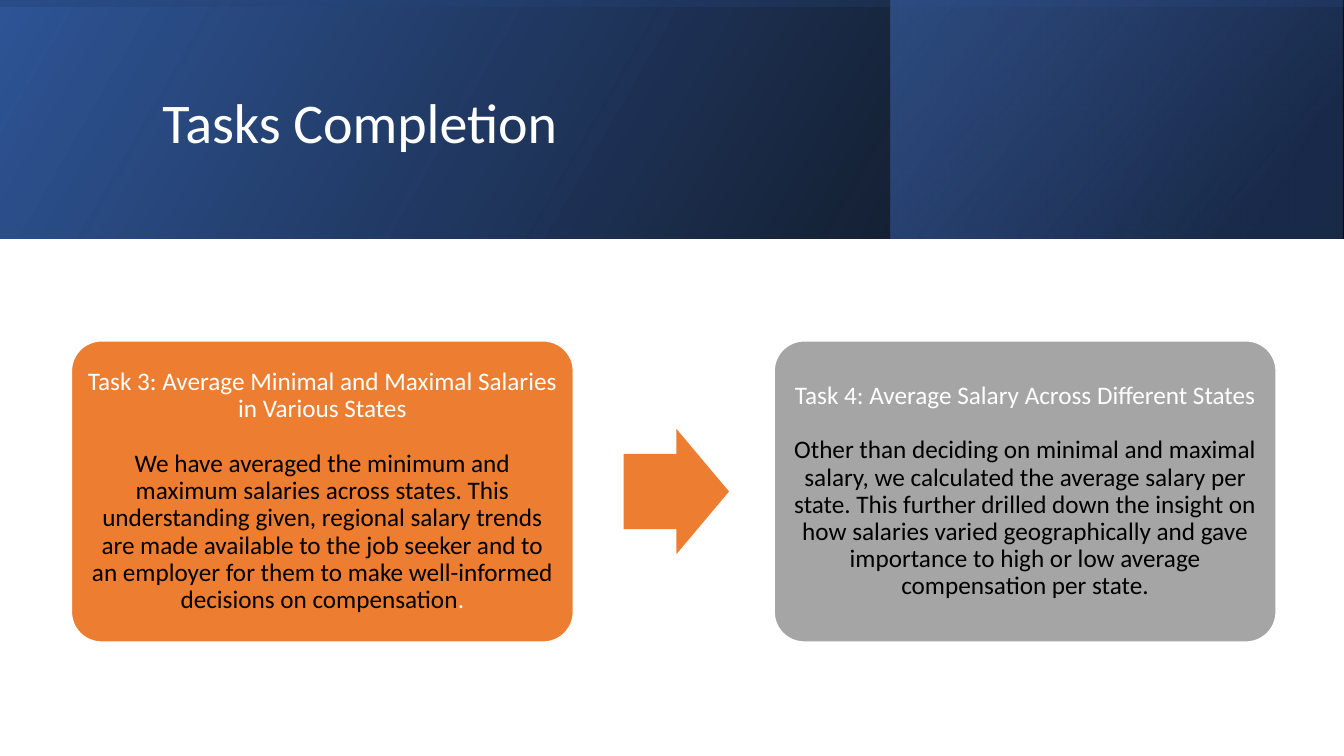
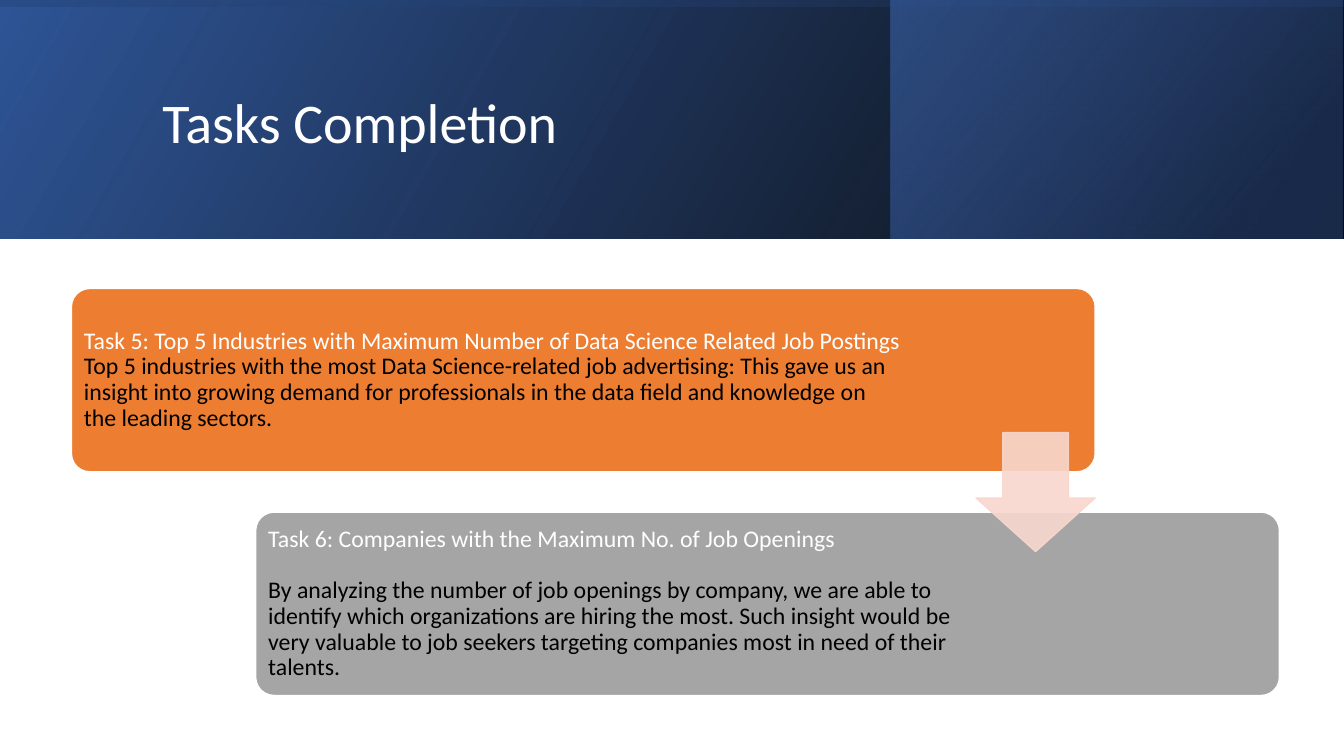
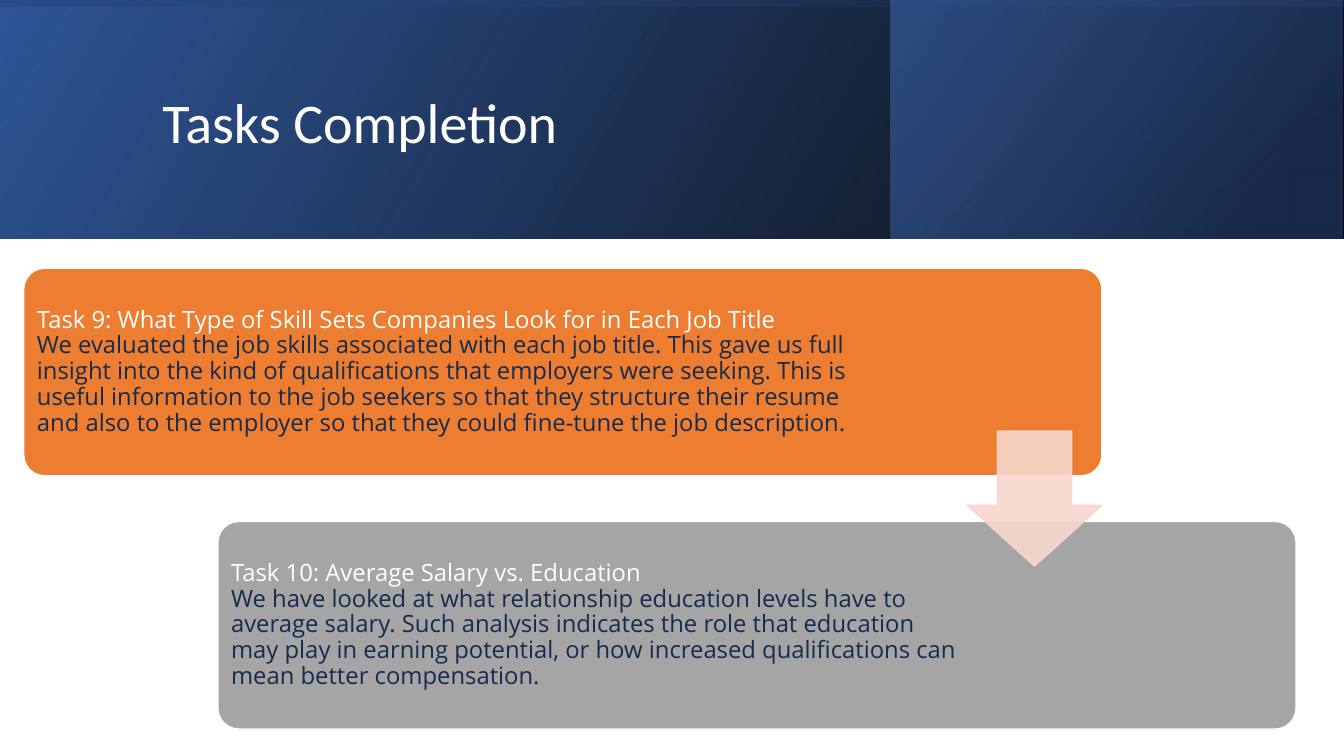
from lxml import etree
from pptx import Presentation
from pptx.dml.color import RGBColor
from pptx.enum import shapes, text
from pptx.oxml.ns import qn
from pptx.util import Cm, Pt

COLORS = {
    "white": "FFFFFF", "black": "000000", "ink": "172B4D",
    "orange": "ED7D31", "gray": "A5A5A5", "pink": "F8D7CE",
    "blue": "2F5597", "navy": "203864", "sky": "4472C4",
}
SLIDE_W, SLIDE_H, BAND_H = 33.87, 19.05, 6.02
TITLE = "Tasks Completion"
TITLE_BOX = (3.84, 0.97, 27, 4.37)
PADDING = 0.18

# Box, rotation, angle, stops of (position %, colour, opacity %)
BANDS = [
    ((0, 0, SLIDE_W, BAND_H), 0, 30, [(0, "black", 96), (100, "blue", 100)]),
    ((22.45, 0, 11.38, BAND_H), 0, 40, [(19, "navy", 68), (100, "sky", 48)]),
    (((SLIDE_W - BAND_H) / 2, (BAND_H - SLIDE_W) / 2, BAND_H, SLIDE_W), 270, 10,
     [(23, "blue", 16), (99, "black", 45)]),
]

# "first" is the box of the first card; the second card follows from it.
# "gap" is the space between heading and body in points,
# "inset" the free space kept at the right of the card.
SLIDES = [
    dict(flow="across", first=(1.8, 8.59, 12.65, 7.59), size=18,
         font="Calibri", ink="black", cards=[
        dict(heading="Task 3: Average Minimal and Maximal Salaries in Various States",
             body=[("We have averaged the minimum and maximum salaries across states. "
                    "This understanding given, regional salary trends are made available "
                    "to the job seeker and to an employer for them to make well-informed "
                    "decisions on compensation", "black"), (".", "white")],
             gap=19.5, inset=PADDING),
        dict(heading="Task 4: Average Salary Across Different States",
             body=[("Other than deciding on minimal and maximal salary, we calculated "
                    "the average salary per state. This further drilled down the insight "
                    "on how salaries varied geographically and gave importance to high "
                    "or low average compensation per state.", "black")],
             gap=19.5, inset=PADDING),
    ]),
    dict(flow="down", first=(1.8, 7.27, 25.8, 4.62), size=17,
         font="Calibri", ink="black", cards=[
        dict(heading="Task 5: Top 5 Industries with Maximum Number of Data Science "
                     "Related Job Postings",
             body=[("Top 5 industries with the most Data Science-related job advertising: "
                    "This gave us an insight into growing demand for professionals in the "
                    "data field and knowledge on the leading sectors.", "black")],
             gap=0, inset=4.67),
        dict(heading="Task 6: Companies with the Maximum No. of Job Openings",
             body=[("By analyzing the number of job openings by company, we are able to "
                    "identify which organizations are hiring the most. Such insight would "
                    "be very valuable to job seekers targeting companies most in need of "
                    "their talents.", "black")],
             gap=18.5, inset=7.74),
    ]),
    dict(flow="down", first=(0.6, 6.76, 27.17, 5.23), size=17,
         font="Open Sans", ink="ink", cards=[
        dict(heading="Task 9: What Type of Skill Sets Companies Look for in Each Job Title",
             body=[("We evaluated the job skills associated with each job title. This gave "
                    "us full insight into the kind of qualifications that employers were "
                    "seeking. This is useful information to the job seekers so that they "
                    "structure their resume and also to the employer so that they could "
                    "fine-tune the job description.", "ink")],
             gap=0, inset=5.28),
        dict(heading="Task 10: Average Salary vs. Education",
             body=[("We have looked at what relationship education levels have to average "
                    "salary. Such analysis indicates the role that education may play in "
                    "earning potential, or how increased qualifications can mean better "
                    "compensation.", "ink")],
             gap=0, inset=8.38),
    ]),
]


def rgb(name):
    return RGBColor.from_string(COLORS[name])


def set_opacity(color_node, percent):
    etree.SubElement(color_node, qn("a:alpha")).set("val", str(percent * 1000))


def add_preset(slide, preset, box, fill=None, line=None, adjust=()):
    shape = slide.shapes.add_shape(preset, *map(Cm, box))
    shape.shadow.inherit = False
    for i, value in enumerate(adjust):
        shape.adjustments[i] = value
    if fill:
        shape.fill.solid()
        shape.fill.fore_color.rgb = rgb(fill)
    if line:
        shape.line.color.rgb = rgb(line)
        shape.line.width = Pt(1)
    else:
        shape.line.fill.background()
    return shape


def add_run(paragraph, words, size, font, color):
    run = paragraph.add_run()
    run.text = words
    run.font.size = Pt(size)
    run.font.name = font
    run.font.color.rgb = rgb(color)


def add_header(slide):
    for box, rotation, angle, stops in BANDS:
        band = add_preset(slide, shapes.MSO_SHAPE.RECTANGLE, box)
        band.rotation = rotation
        band._element.spPr.find(qn("a:xfrm")).set("flipH", "1")
        band.fill.gradient()
        band.fill.gradient_angle = angle
        for stop, (position, color, opacity) in zip(band.fill.gradient_stops, stops):
            stop.position = position / 100
            stop.color.rgb = rgb(color)
        for node, (_, _, opacity) in zip(band._element.iter(qn("a:gs")), stops):
            set_opacity(node[0], opacity)

    title = slide.shapes.title
    title.left, title.top, title.width, title.height = map(Cm, TITLE_BOX)
    slide.shapes._spTree.append(title._element)  # bring in front of the bands
    title.text_frame.vertical_anchor = text.MSO_ANCHOR.MIDDLE
    paragraph = title.text_frame.paragraphs[0]
    paragraph.alignment = text.PP_ALIGN.LEFT
    paragraph.line_spacing = 0.9
    add_run(paragraph, TITLE, 40, "Calibri", "white")


def add_card(slide, box, fill, card, size, font, align):
    shape = add_preset(slide, shapes.MSO_SHAPE.ROUNDED_RECTANGLE, box, fill, "white", [0.1])
    frame = shape.text_frame
    frame.word_wrap = True
    frame.vertical_anchor = text.MSO_ANCHOR.MIDDLE
    frame.margin_left = frame.margin_top = frame.margin_bottom = Cm(PADDING)
    frame.margin_right = Cm(card["inset"])
    heading, body = frame.paragraphs[0], frame.add_paragraph()
    for paragraph in (heading, body):
        paragraph.alignment = align
        paragraph.line_spacing = 0.9
    heading.space_after = Pt(card["gap"])
    add_run(heading, card["heading"], size, font, "white")
    for words, color in card["body"]:
        add_run(body, words, size, font, color)


def add_flow(slide, content):
    """Two cards joined by an arrow, side by side or stepping down."""
    x, y, w, h = content["first"]
    across = content["flow"] == "across"
    if across:
        step_x, step_y = 1.4 * w, 0
        align = text.PP_ALIGN.CENTER
        arrow_w, arrow_h = 0.21 * w, 0.25 * w
        arrow_box = (x + 1.1 * w, y + (h - arrow_h) / 2, arrow_w, arrow_h)
    else:
        step_x, step_y = 0.18 * w, 1.22 * h
        align = text.PP_ALIGN.LEFT
        side = 0.65 * h
        arrow_box = (x + w - side, y + (step_y + h - side) / 2, side, side)

    for i, (card, fill) in enumerate(zip(content["cards"], ("orange", "gray"))):
        box = (x + i * step_x, y + i * step_y, w, h)
        add_card(slide, box, fill, card, content["size"], content["font"], align)

    if across:
        add_preset(slide, shapes.MSO_SHAPE.RIGHT_ARROW, arrow_box, "orange", adjust=[0.6, 0.5])
    else:
        arrow = add_preset(slide, shapes.MSO_SHAPE.DOWN_ARROW, arrow_box, "pink", "pink",
                           [0.55, 0.45])
        for node in arrow._element.spPr.iter(qn("a:srgbClr")):
            set_opacity(node, 90)


def main():
    deck = Presentation()
    deck.slide_width, deck.slide_height = Cm(SLIDE_W), Cm(SLIDE_H)
    title_only = deck.slide_layouts[5]
    for content in SLIDES:
        slide = deck.slides.add_slide(title_only)
        add_header(slide)
        add_flow(slide, content)
    deck.save("out.pptx")


if __name__ == "__main__":
    main()
